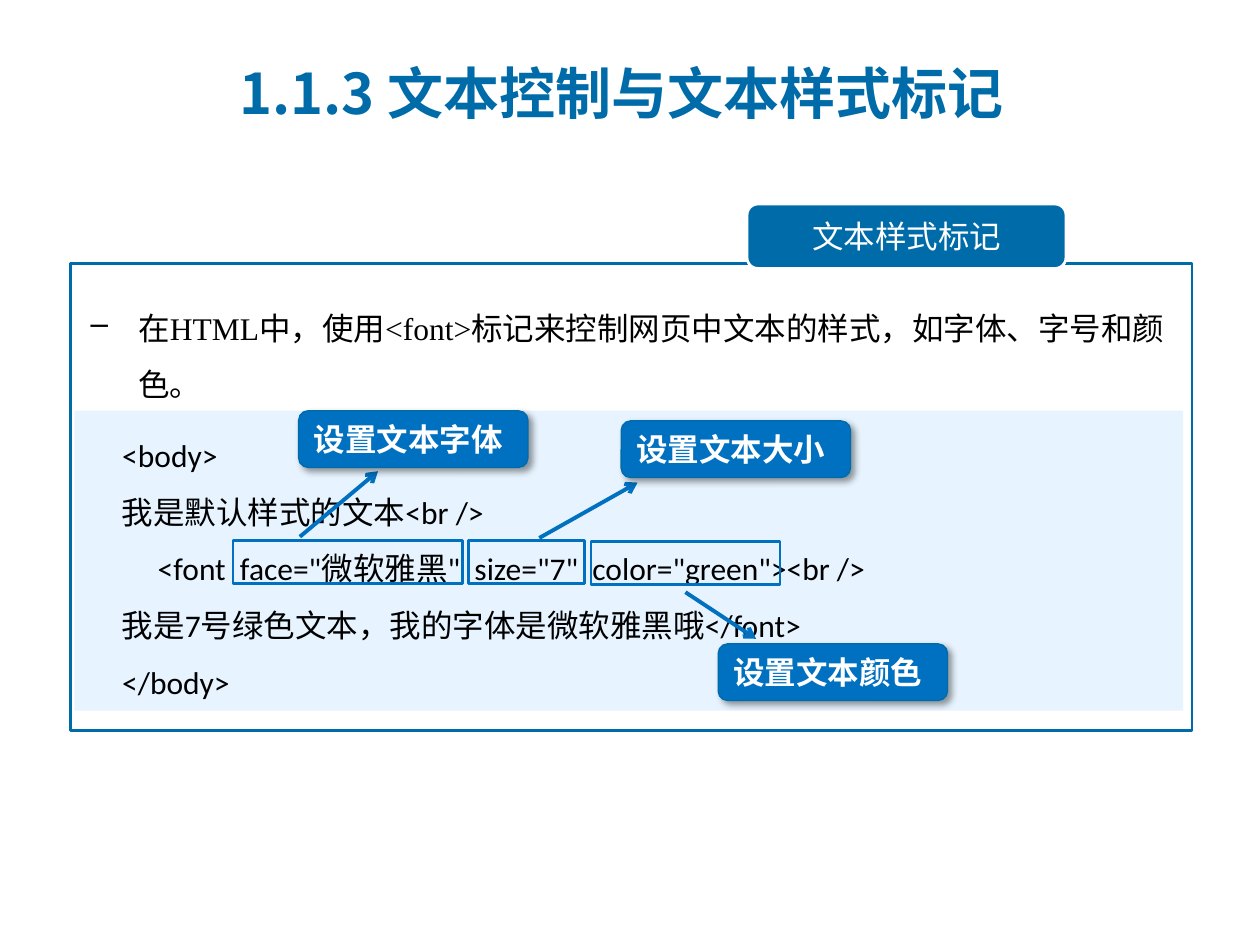
from lxml.etree import SubElement
from pptx import Presentation
from pptx.dml.color import RGBColor
from pptx.enum.shapes import MSO_CONNECTOR as Connector, MSO_SHAPE as Shape
from pptx.enum.text import MSO_ANCHOR as Anchor, PP_ALIGN as Align
from pptx.oxml.ns import qn
from pptx.util import Inches, Pt

DEEP_BLUE = RGBColor(0x00, 0x6B, 0xA9)
BLUE = RGBColor(0x00, 0x70, 0xC0)
PALE_BLUE = RGBColor(0xE7, 0xF4, 0xFF)
WHITE = RGBColor(0xFF, 0xFF, 0xFF)
BLACK = RGBColor(0x00, 0x00, 0x00)

CJK_FONT = "Noto Sans CJK SC"
CODE_FONT = "Calibri"
BODY_FONT = "Times New Roman"

CODE = [
    '     <body>',
    '     我是默认样式的文本<br />',
    '          <font  face="微软雅黑"  size="7"  color="green"><br />',
    '     我是7号绿色文本，我的字体是微软雅黑哦</font>',
    '     </body>',
]
ATTRIBUTE_FRAMES = [(1.85, 4.29, 1.82), (3.72, 4.29, 0.92), (4.69, 4.3, 1.5)]
CALLOUTS = [
    ("设置文本字体", (2.37, 3.26), (2.38, 4.26), (3, 3.74)),
    ("设置文本大小", (4.93, 3.34), (4.28, 4.27), (5.06, 3.83)),
    ("设置文本颜色", (5.7, 5.11), (5.44, 4.7), (6, 5.07)),
]


class SlideBuilder:
    def __init__(self, deck):
        self.page = deck.slides.add_slide(deck.slide_layouts[6])

    def fill_text(self, box, lines, font, color=BLACK, size=18, bold=False,
                  spacing=None, align=Align.LEFT, anchor=Anchor.TOP):
        frame = box.text_frame
        frame.word_wrap = True
        frame.vertical_anchor = anchor
        for index, line in enumerate(lines):
            para = frame.add_paragraph() if index else frame.paragraphs[0]
            para.alignment = align
            if spacing:
                para.line_spacing = spacing
            span = para.add_run()
            span.text = line
            span.font.name = font
            span.font.size = Pt(size)
            span.font.bold = bold
            span.font.color.rgb = color
            SubElement(span._r.get_or_add_rPr(), qn("a:ea"), typeface=CJK_FONT)

    def text(self, place, lines, font, **style):
        box = self.page.shapes.add_textbox(*map(Inches, place))
        self.fill_text(box, lines, font, **style)
        return box

    def shape(self, kind, place, fill=None, line=None, width=1.5):
        box = self.page.shapes.add_shape(kind, *map(Inches, place))
        box.shadow.inherit = False
        if fill is None:
            box.fill.background()
        else:
            box.fill.solid()
            box.fill.fore_color.rgb = fill
        if line is None:
            box.line.fill.background()
        else:
            box.line.color.rgb = line
            box.line.width = Pt(width)
        return box

    def bullet(self, place, line):
        box = self.text(place, [line], BODY_FONT, spacing=1.5)
        properties = box.text_frame.paragraphs[0]._p.get_or_add_pPr()
        properties.set("marL", str(Inches(0.38)))
        properties.set("indent", str(Inches(-0.38)))
        SubElement(properties, qn("a:buChar"), char="–")

    def arrow(self, start, end):
        line = self.page.shapes.add_connector(
            Connector.STRAIGHT, *map(Inches, start + end))
        line.line.color.rgb = BLUE
        line.line.width = Pt(2.25)
        properties = line._element.spPr
        SubElement(properties.find(qn("a:ln")), qn("a:tailEnd"), type="arrow")
        SubElement(properties, qn("a:effectLst"))

    def callout(self, label, corner):
        box = self.shape(Shape.ROUNDED_RECTANGLE, corner + (1.82, 0.45),
                         BLUE, DEEP_BLUE, 0.75)
        effects = box._element.spPr.find(qn("a:effectLst"))
        shadow = SubElement(effects, qn("a:outerShdw"), blurRad=str(Pt(4)),
                            dist=str(Pt(3)), dir="2700000", rotWithShape="0")
        tint = SubElement(shadow, qn("a:srgbClr"), val="000000")
        SubElement(tint, qn("a:alpha"), val="40000")
        self.fill_text(box, [label], CODE_FONT, color=WHITE, bold=True,
                       anchor=Anchor.MIDDLE)


def main():
    deck = Presentation()
    deck.slide_width = Inches(10)
    deck.slide_height = Inches(7.5)
    builder = SlideBuilder(deck)

    builder.shape(Shape.RECTANGLE, (0.56, 2.09, 8.9, 3.71), WHITE, DEEP_BLUE)
    builder.bullet((0.62, 2.25, 8.79, 1.01),
                   "在HTML中，使用<font>标记来控制网页中文本的样式，如字体、字号和颜色。")
    code_panel = builder.shape(Shape.RECTANGLE, (0.59, 3.26, 8.8, 2.38), PALE_BLUE)
    builder.fill_text(code_panel, CODE, CODE_FONT, spacing=1.5)

    tab = builder.shape(Shape.ROUNDED_RECTANGLE, (5.93, 1.62, 2.53, 0.51),
                        DEEP_BLUE, WHITE)
    builder.fill_text(tab, ["文本样式标记"], CJK_FONT, color=WHITE,
                      align=Align.CENTER, anchor=Anchor.MIDDLE)

    for left, top, width in ATTRIBUTE_FRAMES:
        builder.shape(Shape.RECTANGLE, (left, top, width, 0.34), line=BLUE)
    for label, corner, start, end in CALLOUTS:
        builder.arrow(start, end)
        builder.callout(label, corner)

    builder.text((1.8, 0.43, 7.3, 0.61), ["1.1.3 文本控制与文本样式标记"], CJK_FONT,
                 color=DEEP_BLUE, size=32, bold=True, anchor=Anchor.MIDDLE)
    deck.save("out.pptx")


if __name__ == "__main__":
    main()
